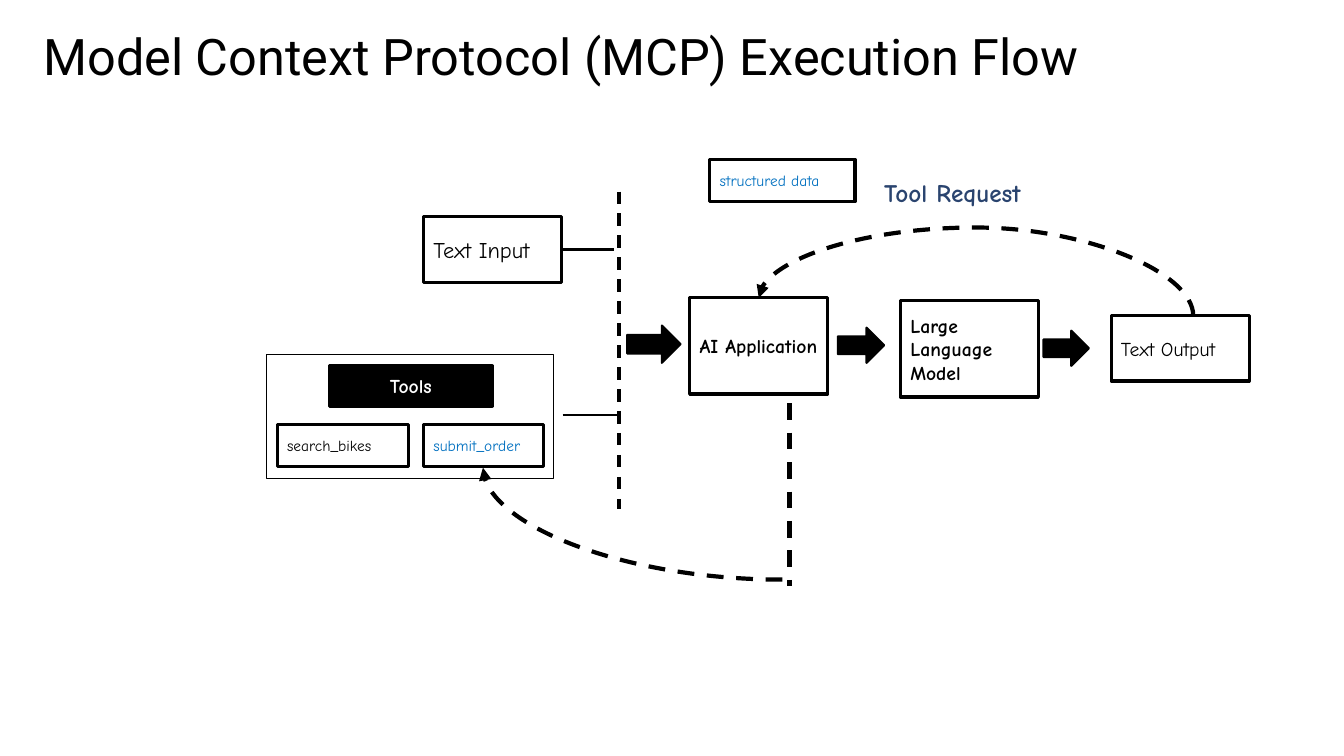
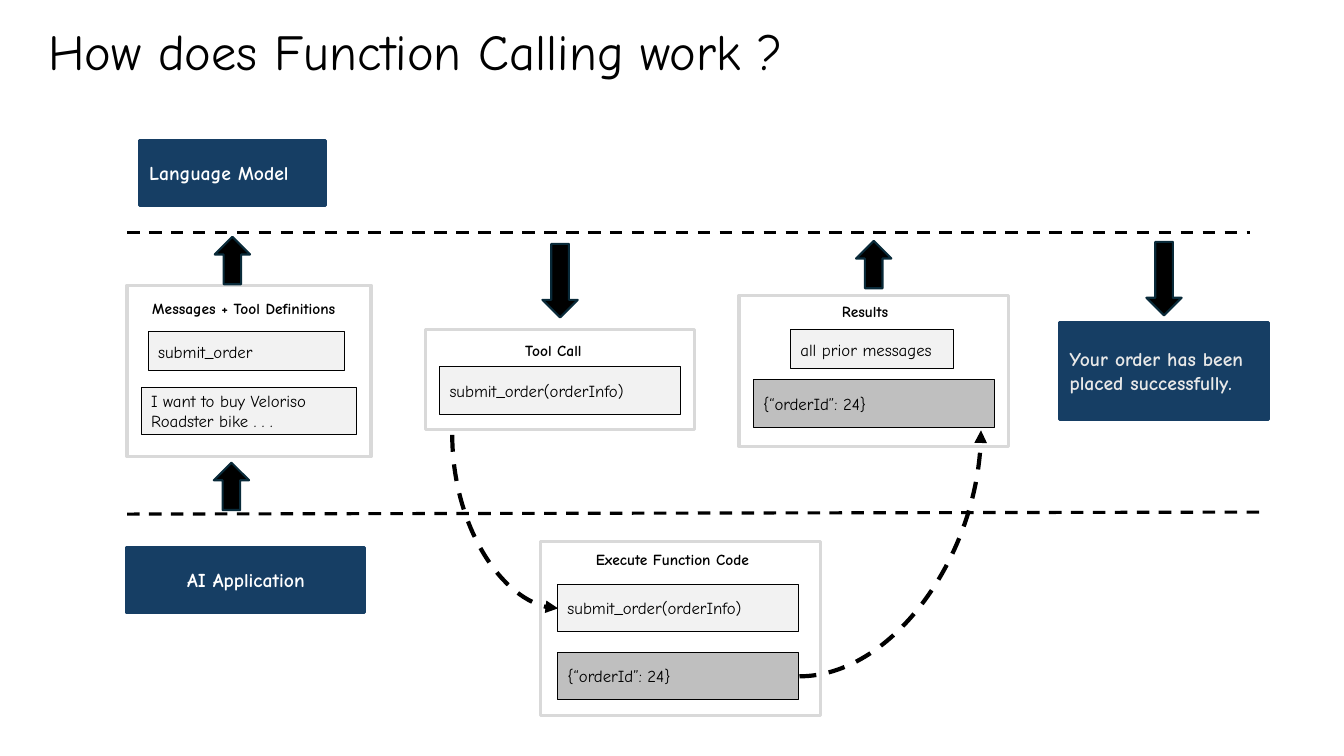
from dataclasses import dataclass
from typing import Any

from lxml import etree
from pptx import Presentation
from pptx.dml.color import RGBColor
from pptx.enum.dml import MSO_LINE
from pptx.enum.shapes import MSO_CONNECTOR, MSO_SHAPE
from pptx.enum.text import MSO_ANCHOR, MSO_AUTO_SIZE, PP_ALIGN
from pptx.oxml.ns import qn
from pptx.util import Inches, Pt

RECTANGLE = MSO_SHAPE.RECTANGLE
RIGHT_ARROW = MSO_SHAPE.RIGHT_ARROW
UP_ARROW = MSO_SHAPE.UP_ARROW
DOWN_ARROW = MSO_SHAPE.DOWN_ARROW
STRAIGHT = MSO_CONNECTOR.STRAIGHT
CURVE = MSO_CONNECTOR.CURVE
DASH = MSO_LINE.DASH
TOP = MSO_ANCHOR.TOP
MIDDLE = MSO_ANCHOR.MIDDLE
LEFT = PP_ALIGN.LEFT
CENTER = PP_ALIGN.CENTER
NO_FIT = MSO_AUTO_SIZE.NONE
GROW = MSO_AUTO_SIZE.SHAPE_TO_FIT_TEXT

BLACK = "000000"
WHITE = "FFFFFF"
NAVY = "163E64"
LIGHT = "F2F2F2"
GRAY = "BFBFBF"
BORDER = "D9D9D9"
BLUE = "0070C0"
SLATE = "2A446F"
PALE = "E8E8E8"
TEAL = "092A39"

HAND_FONT = "Comic Neue"
PLAIN_FONT = "Roboto"
TITLE_ONLY_LAYOUT = 5
RIGHT_SIDE = 3
NO_MARGINS = {"margin_left": 0, "margin_right": 0, "margin_top": 0, "margin_bottom": 0}
TITLE_FRAME = {**NO_MARGINS, "word_wrap": True, "auto_size": NO_FIT, "vertical_anchor": TOP}
LABEL_FRAME = {**NO_MARGINS, "word_wrap": False, "auto_size": GROW, "vertical_anchor": TOP}
BOX_FRAME = {"word_wrap": True, "vertical_anchor": MIDDLE}


@dataclass(frozen=True)
class Style:
    fill: str
    line: str
    weight: float
    size: float = 12
    color: str = BLACK
    bold: bool = False
    align: Any = LEFT


@dataclass(frozen=True)
class Box:
    left: float
    top: float
    width: float
    height: float
    style: Style
    text: str = ""
    preset: Any = RECTANGLE


@dataclass(frozen=True)
class Label:
    left: float
    top: float
    width: float
    height: float
    text: str
    size: float = 11
    color: str = BLACK


@dataclass(frozen=True)
class Line:
    start: tuple[float, float]
    end: tuple[float, float]
    weight: float
    dashed: bool = False


@dataclass(frozen=True)
class Arc:
    left: float
    top: float
    width: float
    height: float
    rotation: int = 0
    flip: str = ""
    preset: str = "curvedConnector2"
    bend: int = 0


STEP = Style(WHITE, BLACK, 2.25, 14, bold=True)
INPUT = Style(WHITE, BLACK, 2.25, 16)
OUTPUT = Style(WHITE, BLACK, 2.25, 14)
TOOL = Style(WHITE, BLACK, 2.25, 11)
ACTIVE_TOOL = Style(WHITE, BLACK, 2.25, 11, BLUE)
TOOL_HEADER = Style(BLACK, BLACK, 2.25, 14, WHITE, True, CENTER)
TOOL_GROUP = Style(WHITE, BLACK, 0.75)
FLOW_ARROW = Style(BLACK, BLACK, 1.5)
CARD = Style(WHITE, BORDER, 2.25)
MESSAGE = Style(LIGHT, BLACK, 0.75)
RESULT = Style(GRAY, BLACK, 0.75)
ACTOR = Style(NAVY, NAVY, 2.25, 14, WHITE, True)
CENTERED_ACTOR = Style(NAVY, NAVY, 2.25, 14, WHITE, True, CENTER)
REPLY = Style(NAVY, NAVY, 2.25, 14, PALE, True)
LANE_ARROW = Style(BLACK, TEAL, 1.5)

TEXT_INPUT = Box(4.2, 2.15, 1.37, 0.65, INPUT, "Text Input")
EXECUTION_BOXES = [
    Box(7.04, 1.58, 1.44, 0.42, ACTIVE_TOOL, "structured data"),
    Box(6.84, 2.95, 1.37, 0.96, STEP, "AI Application"),
    Box(8.93, 2.98, 1.37, 0.96, STEP, "Large Language Model"),
    Box(11.02, 3.13, 1.37, 0.65, OUTPUT, "Text Output"),
    Box(6.22, 3.23, 0.53, 0.37, FLOW_ARROW, preset=RIGHT_ARROW),
    Box(8.31, 3.25, 0.46, 0.35, FLOW_ARROW, preset=RIGHT_ARROW),
    Box(10.35, 3.28, 0.45, 0.35, FLOW_ARROW, preset=RIGHT_ARROW),
    Box(2.64, 3.52, 2.85, 1.23, TOOL_GROUP),
    Box(3.27, 3.63, 1.61, 0.4, TOOL_HEADER, "Tools"),
    Box(2.75, 4.21, 1.3, 0.42, TOOL, "search_bikes"),
    Box(4.2, 4.21, 1.19, 0.42, ACTIVE_TOOL, "submit_order"),
]
EXECUTION_LINES = [
    Line((6.14, 1.9), (6.14, 5.05), 2.25, True),
    Line((5.58, 4.12), (6.14, 4.12), 1.5),
    Line((7.83, 4), (7.83, 5.81), 3, True),
]
INPUT_LINE = Line((5.57, 2.45), (6.09, 2.45), 1.5)
EXECUTION_ARCS = [
    Arc(9.59, 0.89, 0.18, 4.31, 270, "flipV", "curvedConnector3", 487900),
    Arc(4.79, 4.64, 2.97, 1.11, 180),
]
EXECUTION_LABELS = [Label(8.77, 1.76, 1.57, 0.3, "Tool Request", 18, SLATE)]

CALLING_BOXES = [
    Box(1.38, 1.39, 1.85, 0.65, ACTOR, "Language Model"),
    Box(1.26, 5.43, 2.36, 0.65, CENTERED_ACTOR, "AI Application"),
    Box(10.51, 3.2, 2.07, 0.96, REPLY, "Your order has been placed successfully."),
    Box(1.26, 2.83, 2.42, 1.7, CARD),
    Box(4.22, 3.27, 2.67, 0.99, CARD),
    Box(5.36, 5.37, 2.78, 1.73, CARD),
    Box(7.33, 2.93, 2.67, 1.5, CARD),
    Box(1.47, 3.29, 1.95, 0.39, MESSAGE, "submit_order"),
    Box(1.4, 3.84, 2.14, 0.47, MESSAGE, "I want to buy Veloriso Roadster bike . . ."),
    Box(4.36, 3.64, 2.39, 0.47, MESSAGE, "submit_order(orderInfo)"),
    Box(5.53, 5.8, 2.39, 0.47, MESSAGE, "submit_order(orderInfo)"),
    Box(5.53, 6.47, 2.39, 0.47, RESULT, "{“orderId”: 24}"),
    Box(7.84, 3.27, 1.62, 0.39, MESSAGE, "all prior messages"),
    Box(7.47, 3.77, 2.39, 0.47, RESULT, "{“orderId”: 24}"),
    Box(2.12, 4.59, 0.35, 0.47, LANE_ARROW, preset=UP_ARROW),
    Box(2.13, 2.35, 0.35, 0.47, LANE_ARROW, preset=UP_ARROW),
    Box(8.49, 2.39, 0.35, 0.47, LANE_ARROW, preset=UP_ARROW),
    Box(5.38, 2.42, 0.35, 0.73, LANE_ARROW, preset=DOWN_ARROW),
    Box(11.37, 2.4, 0.35, 0.73, LANE_ARROW, preset=DOWN_ARROW),
]
CALLING_LINES = [
    Line((1.26, 2.31), (12.4, 2.31), 2.25, True),
    Line((1.26, 5.1), (12.58, 5.08), 2.25, True),
]
CALLING_ARCS = [
    Arc(4.15, 4.65, 1.72, 1.05, 270, "flipH"),
    Arc(7.93, 4.27, 1.8, 2.44, 0, "flipV"),
]
CALLING_LABELS = [
    Label(1.51, 2.97, 2.11, 0.19, "Messages + Tool Definitions"),
    Label(5.21, 3.38, 0.64, 0.19, "Tool Call"),
    Label(5.91, 5.46, 1.69, 0.19, "Execute Function Code"),
    Label(8.35, 3, 0.53, 0.19, "Results"),
]


def rgb(color: str) -> RGBColor:
    return RGBColor.from_string(color)


def set_values(target: Any, values: dict[str, Any]) -> None:
    for name, value in values.items():
        setattr(target, name, value)


def write_text(frame: Any, text: str, layout: dict[str, Any], size: float,
               color: str = BLACK, bold: bool = False, align: Any = LEFT,
               font: str = HAND_FONT) -> None:
    set_values(frame, layout)
    paragraph = frame.paragraphs[0]
    paragraph.alignment = align
    run = paragraph.add_run()
    run.text = text
    set_values(run.font, {"name": font, "size": Pt(size), "bold": bold})
    run.font.color.rgb = rgb(color)


def add_slide(presentation: Any, title: str, left: float, top: float, width: float,
              font: str) -> Any:
    slide = presentation.slides.add_slide(presentation.slide_layouts[TITLE_ONLY_LAYOUT])
    shape = slide.shapes.title
    set_values(shape, {"left": Inches(left), "top": Inches(top),
                       "width": Inches(width), "height": Inches(0.61)})
    write_text(shape.text_frame, title, TITLE_FRAME, 36, font=font)
    return slide


def draw_box(slide: Any, box: Box) -> Any:
    style = box.style
    shape = slide.shapes.add_shape(box.preset, Inches(box.left), Inches(box.top),
                                   Inches(box.width), Inches(box.height))
    shape.shadow.inherit = False
    shape.fill.solid()
    shape.fill.fore_color.rgb = rgb(style.fill)
    shape.line.color.rgb = rgb(style.line)
    shape.line.width = Pt(style.weight)
    if box.text:
        write_text(shape.text_frame, box.text, BOX_FRAME, style.size, style.color,
                   style.bold, style.align)
    return shape


def draw_label(slide: Any, label: Label) -> None:
    shape = slide.shapes.add_textbox(Inches(label.left), Inches(label.top),
                                     Inches(label.width), Inches(label.height))
    write_text(shape.text_frame, label.text, LABEL_FRAME, label.size, label.color, True)


def draw_line(slide: Any, line: Line, kind: Any = STRAIGHT) -> Any:
    connector = slide.shapes.add_connector(
        kind, *(Inches(value) for value in (*line.start, *line.end)))
    connector.line.color.rgb = rgb(BLACK)
    connector.line.width = Pt(line.weight)
    if line.dashed:
        connector.line.dash_style = DASH
    etree.SubElement(connector._element.spPr, qn("a:effectLst"))
    return connector


def draw_arc(slide: Any, arc: Arc) -> None:
    corner = (arc.left + arc.width, arc.top + arc.height)
    connector = draw_line(slide, Line((arc.left, arc.top), corner, 3, True), CURVE)
    properties = connector._element.spPr
    transform = properties.find(qn("a:xfrm"))
    transform.set("rot", str(arc.rotation * 60000))
    if arc.flip:
        transform.set(arc.flip, "1")
    geometry = properties.find(qn("a:prstGeom"))
    geometry.set("prst", arc.preset)
    if arc.bend:
        guides = geometry.find(qn("a:avLst"))
        if guides is None:
            guides = etree.SubElement(geometry, qn("a:avLst"))
        etree.SubElement(guides, qn("a:gd"), name="adj1", fmla=f"val {arc.bend}")
    etree.SubElement(properties.find(qn("a:ln")), qn("a:tailEnd"), type="triangle")


def draw_diagram(slide: Any, boxes: list[Box], lines: list[Line], arcs: list[Arc],
                 labels: list[Label]) -> None:
    for draw, items in ((draw_line, lines), (draw_box, boxes),
                        (draw_arc, arcs), (draw_label, labels)):
        for item in items:
            draw(slide, item)


def build_execution_slide(presentation: Any) -> None:
    slide = add_slide(presentation, "Model Context Protocol (MCP) Execution Flow",
                      0.43, 0.25, 11.03, PLAIN_FONT)
    draw_diagram(slide, EXECUTION_BOXES, EXECUTION_LINES, EXECUTION_ARCS, EXECUTION_LABELS)
    text_input = draw_box(slide, TEXT_INPUT)
    connector = draw_line(slide, INPUT_LINE)
    connector.begin_connect(text_input, RIGHT_SIDE)
    connector.end_y = connector.begin_y


def build_calling_slide(presentation: Any) -> None:
    slide = add_slide(presentation, "How does Function Calling work ?",
                      0.48, 0.2, 10.41, HAND_FONT)
    draw_diagram(slide, CALLING_BOXES, CALLING_LINES, CALLING_ARCS, CALLING_LABELS)


def main() -> None:
    presentation = Presentation()
    set_values(presentation, {"slide_width": Inches(13.33), "slide_height": Inches(7.5)})
    build_execution_slide(presentation)
    build_calling_slide(presentation)
    presentation.save("out.pptx")


if __name__ == "__main__":
    main()
